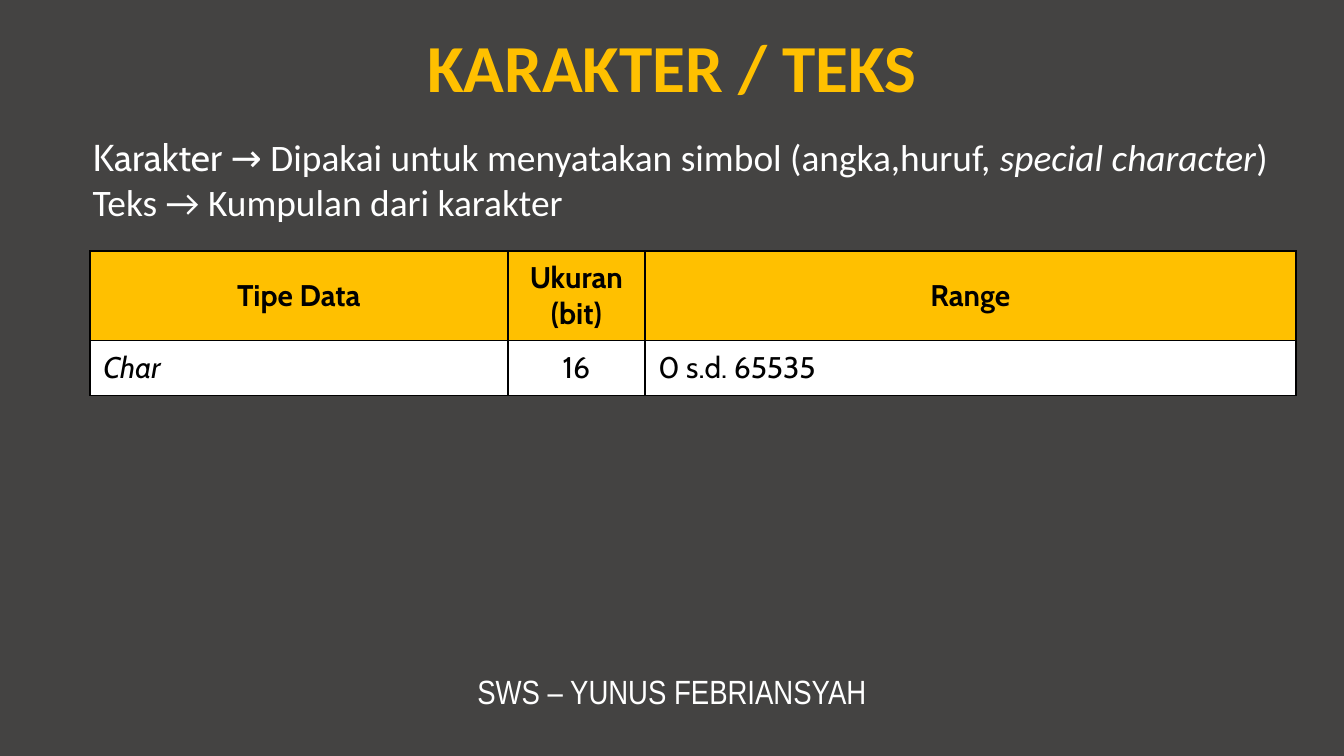
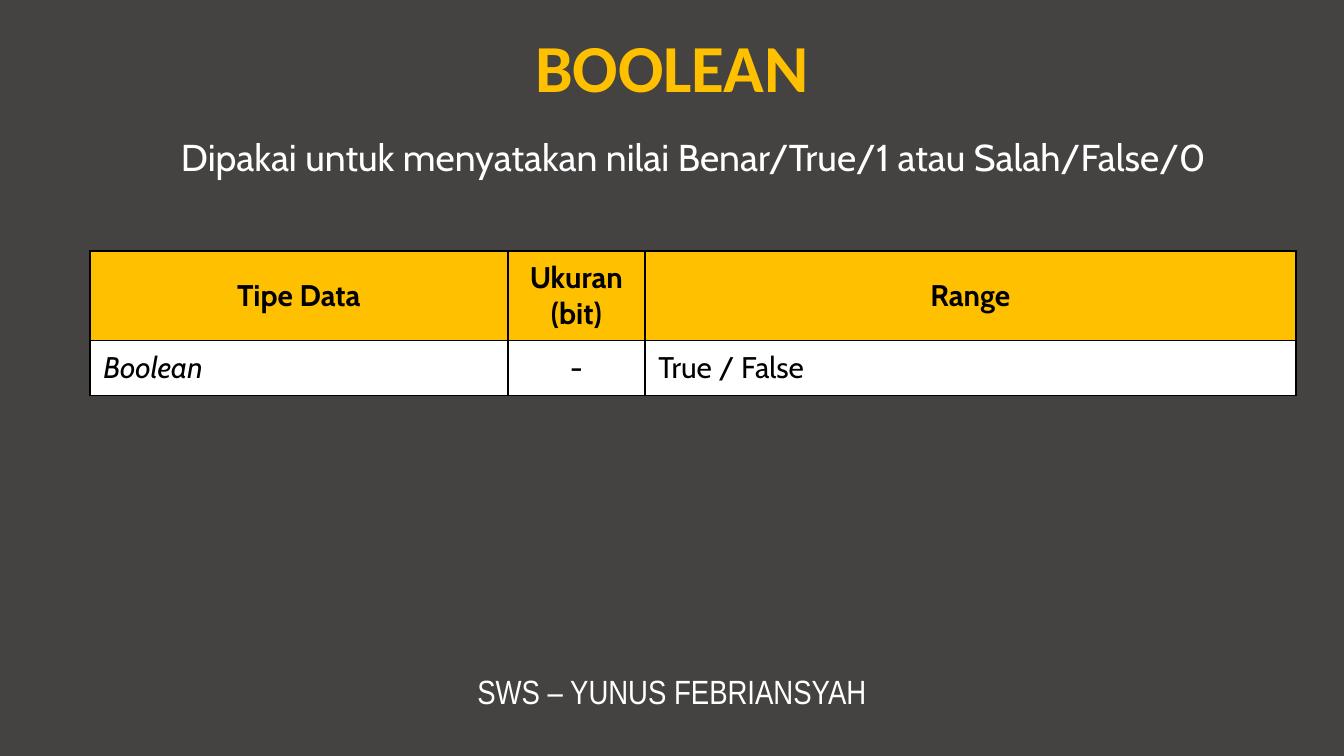
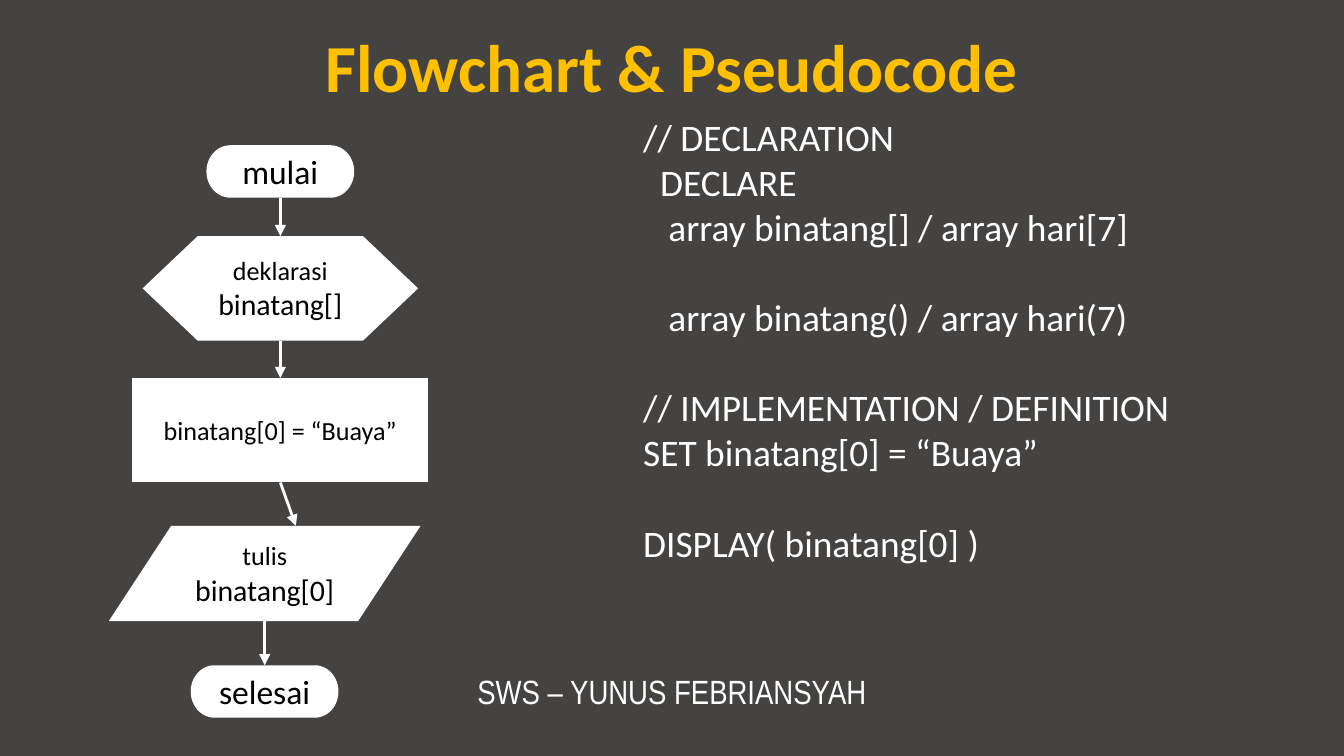
from lxml import etree
from pptx import Presentation
from pptx.dml.color import RGBColor
from pptx.enum.shapes import MSO_CONNECTOR, MSO_SHAPE
from pptx.enum.text import MSO_ANCHOR, MSO_AUTO_SIZE, PP_ALIGN
from pptx.oxml.ns import qn
from pptx.util import Pt

LEFT, CENTER, JUSTIFY = PP_ALIGN.LEFT, PP_ALIGN.CENTER, PP_ALIGN.JUSTIFY
MIDDLE, TOP = MSO_ANCHOR.MIDDLE, MSO_ANCHOR.TOP
TERMINATOR = MSO_SHAPE.FLOWCHART_TERMINATOR
PREPARATION = MSO_SHAPE.FLOWCHART_PREPARATION
PROCESS = MSO_SHAPE.FLOWCHART_PROCESS
INPUT_OUTPUT = MSO_SHAPE.FLOWCHART_DATA

GRAY = RGBColor(0x44, 0x43, 0x42)
GOLD = RGBColor(0xFF, 0xC0, 0x00)
WHITE = RGBColor(0xFF, 0xFF, 0xFF)
BLACK = RGBColor(0x00, 0x00, 0x00)

BODY_FONT, TABLE_FONT, FOOTER_FONT = "Calibri", "Cabin", "Arial Narrow"
SLIDE_WIDTH, SLIDE_HEIGHT = 720, 405
CODE_SIZE, CODE_GAP = 20, 24.4
TABLE_COLUMNS, TABLE_ROWS = (223.9, 73.4, 348.8), (47.8, 29.6)
TABLE_HEADERS = ("Tipe Data", "Ukuran (bit)", "Range")


# Text
def add_run(paragraph, text, size, font=BODY_FONT, color=WHITE, bold=False, italic=False):
    run = paragraph.add_run()
    run.text = text
    run.font.size = Pt(size)
    run.font.name = font
    run.font.color.rgb = color
    run.font.bold = bold
    run.font.italic = italic


def next_paragraph(text_frame, index, alignment):
    paragraph = text_frame.paragraphs[0] if index == 0 else text_frame.add_paragraph()
    paragraph.alignment = alignment
    return paragraph


def add_text_box(slide, left, top, width, height):
    text_frame = slide.shapes.add_textbox(Pt(left), Pt(top), Pt(width), Pt(height)).text_frame
    text_frame.word_wrap = True
    text_frame.vertical_anchor = TOP
    return text_frame


# Shared slide frame: title and footer
def add_slide(presentation, title_text):
    slide = presentation.slides.add_slide(presentation.slide_layouts[5])
    title = slide.shapes.title
    title.left, title.top, title.width, title.height = Pt(0), Pt(12.2), Pt(SLIDE_WIDTH), Pt(45.4)
    title.text_frame.auto_size = MSO_AUTO_SIZE.NONE
    title.text_frame.vertical_anchor = MIDDLE
    add_run(next_paragraph(title.text_frame, 0, CENTER), title_text, 36, color=GOLD, bold=True)
    footer = add_text_box(slide, 207, 355.7, 306, 28.8)
    add_run(next_paragraph(footer, 0, CENTER), "SWS – YUNUS FEBRIANSYAH", 18, FOOTER_FONT)
    return slide


def add_description(slide, height, alignment, lines):
    """Each line is a list of (text, font, italic) runs."""
    text_frame = add_text_box(slide, 42.5, 68.4, 658, height)
    for index, runs in enumerate(lines):
        paragraph = next_paragraph(text_frame, index, alignment)
        for text, font, italic in runs:
            add_run(paragraph, text, 20, font, italic=italic)


# Data type table
def add_borders(cell):
    properties = cell._tc.get_or_add_tcPr()
    for side in ("a:lnL", "a:lnR", "a:lnT", "a:lnB"):
        line = etree.SubElement(properties, qn(side), w=str(Pt(1)))
        fill = etree.SubElement(line, qn("a:solidFill"))
        etree.SubElement(fill, qn("a:srgbClr"), val=str(BLACK))


def add_type_table(slide, values):
    table = slide.shapes.add_table(
        2, 3, Pt(48.2), Pt(134.6), Pt(sum(TABLE_COLUMNS)), Pt(sum(TABLE_ROWS))).table
    for column, width in zip(table.columns, TABLE_COLUMNS):
        column.width = Pt(width)
    for row_index, texts in enumerate((TABLE_HEADERS, values)):
        header = row_index == 0
        table.rows[row_index].height = Pt(TABLE_ROWS[row_index])
        for column_index, text in enumerate(texts):
            cell = table.cell(row_index, column_index)
            add_borders(cell)
            cell.fill.solid()
            cell.fill.fore_color.rgb = GOLD if header else WHITE
            cell.vertical_anchor = MIDDLE
            alignment = CENTER if header or column_index == 1 else LEFT
            add_run(next_paragraph(cell.text_frame, 0, alignment), text, 16, TABLE_FONT, BLACK,
                    bold=header, italic=not header and column_index == 0)


# Flowchart
def add_step(slide, kind, center, top, width, height, lines):
    shape = slide.shapes.add_shape(
        kind, Pt(center - width / 2), Pt(top), Pt(width), Pt(height))
    shape.shadow.inherit = False
    shape.fill.solid()
    shape.fill.fore_color.rgb = WHITE
    shape.line.fill.background()
    shape.text_frame.word_wrap = True
    shape.text_frame.vertical_anchor = MIDDLE
    for index, (text, size) in enumerate(lines):
        add_run(next_paragraph(shape.text_frame, index, CENTER), text, size, color=BLACK)


def add_arrow(slide, start_x, start_y, end_x, end_y):
    arrow = slide.shapes.add_connector(
        MSO_CONNECTOR.STRAIGHT, Pt(start_x), Pt(start_y), Pt(end_x), Pt(end_y))
    arrow.line.color.rgb = WHITE
    arrow.line.width = Pt(1.5)
    etree.SubElement(arrow.line._get_or_add_ln(), qn("a:tailEnd"), type="triangle")
    etree.SubElement(arrow._element.spPr, qn("a:effectLst"))


def add_flowchart(slide, steps):
    for step in steps:
        add_step(slide, *step)
    for upper, lower in zip(steps, steps[1:]):
        _, start_x, upper_top, _, upper_height, _ = upper
        kind, end_x, end_y, lower_width, _, _ = lower
        if kind == INPUT_OUTPUT:  # the slanted box is entered at 60% of its width
            end_x += lower_width * 0.1
        add_arrow(slide, start_x, upper_top + upper_height, end_x, end_y)


def add_pseudocode(slide, blocks):
    text_frame = add_text_box(slide, 337.5, 57.6, 343, 250)
    index = 0
    for block in blocks:
        for line_number, line in enumerate(block):
            paragraph = next_paragraph(text_frame, index, LEFT)
            if index and line_number == 0:
                paragraph.space_before = Pt(CODE_GAP)
            add_run(paragraph, line, CODE_SIZE)
            index += 1


def main():
    presentation = Presentation()
    presentation.slide_width, presentation.slide_height = Pt(SLIDE_WIDTH), Pt(SLIDE_HEIGHT)
    background = presentation.slide_master.background.fill
    background.solid()
    background.fore_color.rgb = GRAY

    # Characters and text
    slide = add_slide(presentation, "KARAKTER / TEKS")
    add_description(slide, 55.7, JUSTIFY, [
        [("Karakter → ", TABLE_FONT, False),
         ("Dipakai untuk menyatakan simbol (angka,huruf, ", BODY_FONT, False),
         ("special character", BODY_FONT, True),
         (")", BODY_FONT, False)],
        [("Teks → Kumpulan dari karakter", BODY_FONT, False)],
    ])
    add_type_table(slide, ("Char", "16", "0 s.d. 65535"))

    # Booleans
    slide = add_slide(presentation, "BOOLEAN")
    add_description(slide, 31.5, CENTER, [
        [("Dipakai untuk menyatakan nilai Benar/True/1 atau Salah/False/0", TABLE_FONT, False)],
    ])
    add_type_table(slide, ("Boolean", "-", "True / False"))

    # Flowchart beside its pseudocode
    slide = add_slide(presentation, "Flowchart & Pseudocode")
    add_pseudocode(slide, [
        ["// DECLARATION", "  DECLARE", "   array binatang[] / array hari[7]"],
        ["   array binatang() / array hari(7)"],
        ["// IMPLEMENTATION / DEFINITION", "SET binatang[0] = “Buaya”"],
        ["DISPLAY( binatang[0] )"],
    ])
    add_flowchart(slide, [
        (TERMINATOR, 150.2, 77.8, 79.2, 28.1, [("mulai", 18)]),
        (PREPARATION, 150.2, 126.5, 147.6, 56, [("deklarasi", 14), ("binatang[]", 16)]),
        (PROCESS, 150.2, 202.5, 158.4, 56, [("binatang[0] = “Buaya”", 14)]),
        (INPUT_OUTPUT, 141.8, 281.7, 167, 51, [("tulis", 14), ("binatang[0]", 16)]),
        (TERMINATOR, 141.8, 356.4, 79.2, 28.1, [("selesai", 18)]),
    ])
    presentation.save("out.pptx")


if __name__ == "__main__":
    main()
